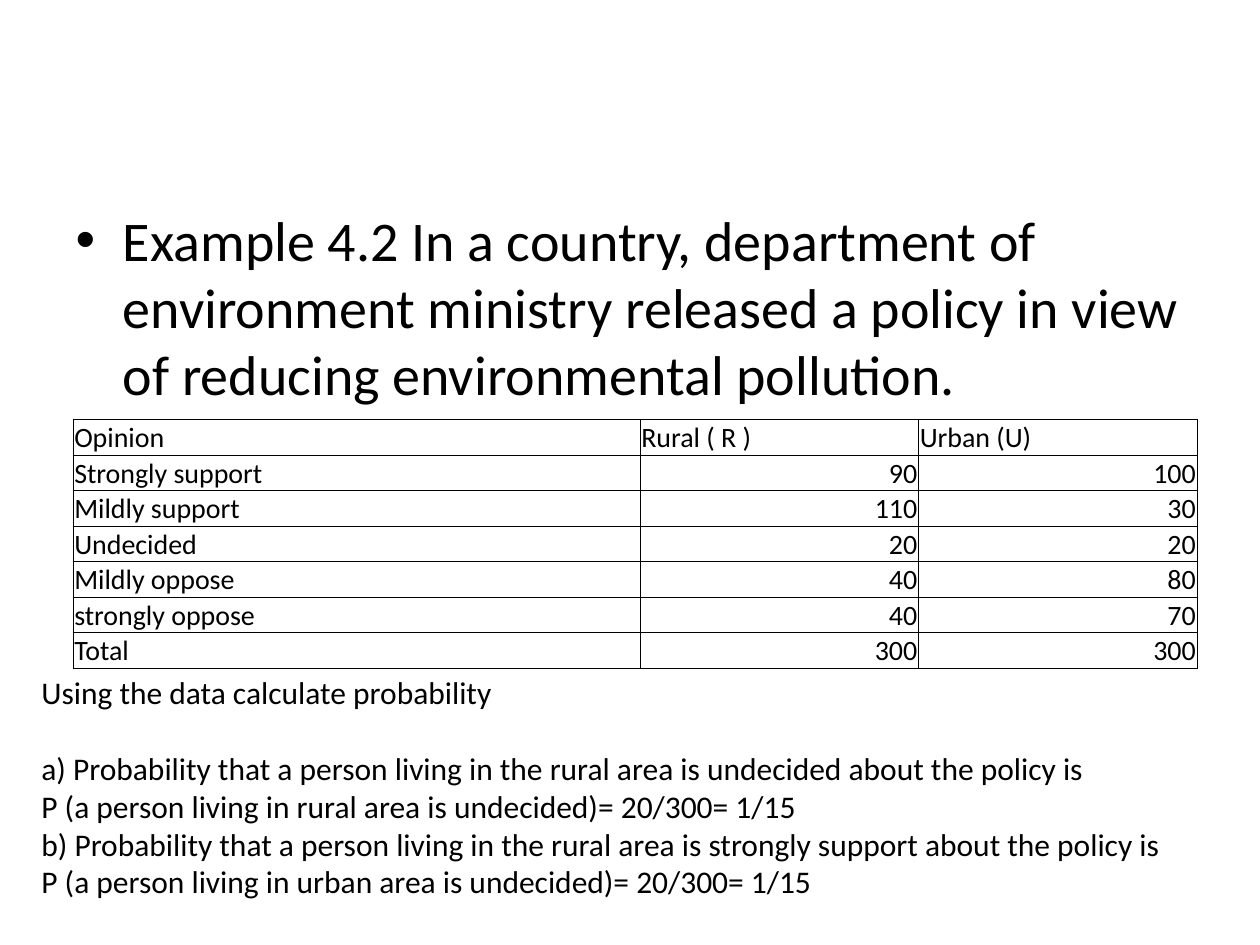
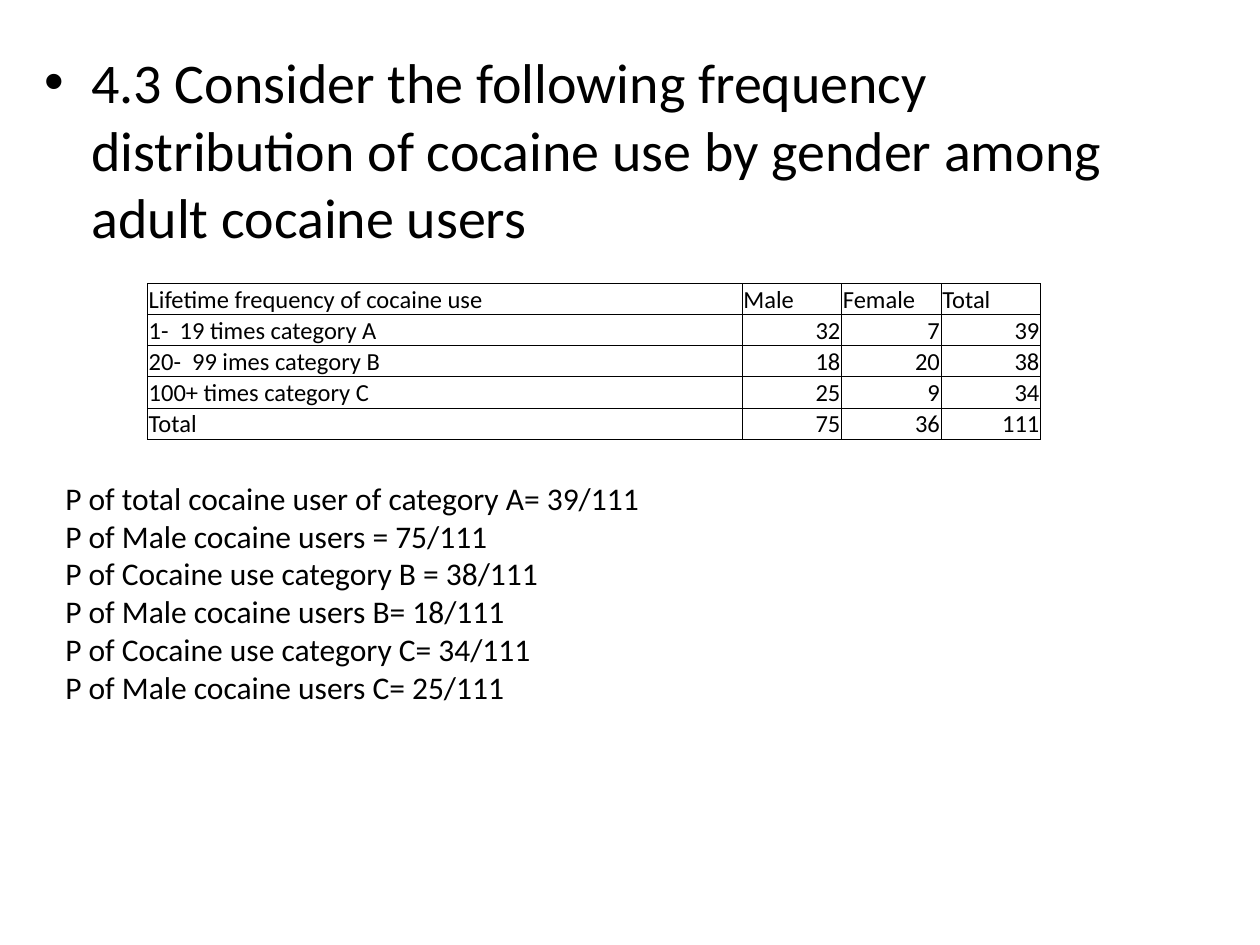
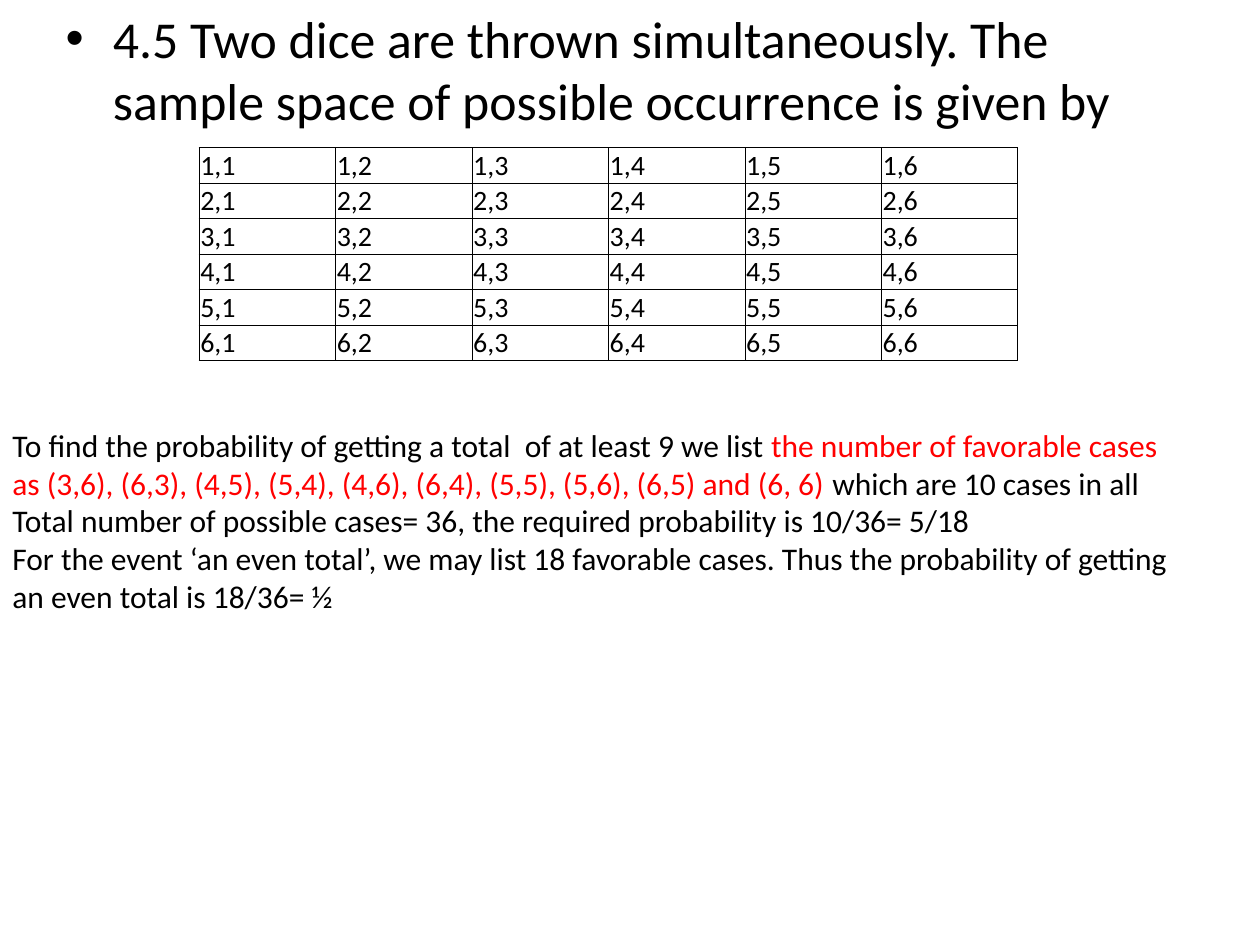
"""Build three slides of worked probability examples with data tables."""
from lxml import etree
from pptx import Presentation
from pptx.dml.color import RGBColor
from pptx.enum import text
from pptx.oxml import ns
from pptx.util import Inches, Pt

FONT = "Calibri"
BLACK = "000000"
RED = "FF0000"
BULLET_LAYOUT = 1


def set_font(font, size, color=BLACK):
    font.name = FONT
    font.size = Pt(size)
    font.color.rgb = RGBColor.from_string(color)


def place(shape, left, top, width, height):
    shape.left, shape.top = Inches(left), Inches(top)
    shape.width, shape.height = Inches(width), Inches(height)


def add_example_slide(presentation, statement, box, size=32):
    slide = presentation.slides.add_slide(presentation.slide_layouts[BULLET_LAYOUT])
    title = slide.shapes.title.element
    title.getparent().remove(title)
    body = slide.placeholders[1]
    place(body, *box)
    body.text_frame.text = statement
    body.text_frame.auto_size = text.MSO_AUTO_SIZE.NONE
    paragraph = body.text_frame.paragraphs[0]
    paragraph.space_before = Pt(0)
    set_font(paragraph.font, size)
    return slide


def add_borders(cell):
    properties = cell._tc.get_or_add_tcPr()
    for side in ("lnL", "lnR", "lnT", "lnB"):
        line = etree.SubElement(properties, ns.qn(f"a:{side}"), w=str(Pt(0.5)))
        fill = etree.SubElement(line, ns.qn("a:solidFill"))
        etree.SubElement(fill, ns.qn("a:srgbClr"), val=BLACK)


def fill_cell(cell, value, size):
    cell.text = value
    cell.vertical_anchor = text.MSO_ANCHOR.BOTTOM
    cell.margin_left = cell.margin_right = cell.margin_top = Inches(0.01)
    cell.margin_bottom = 0
    add_borders(cell)
    cell.fill.background()
    paragraph = cell.text_frame.paragraphs[0]
    if value.isdigit():
        paragraph.alignment = text.PP_ALIGN.RIGHT
    set_font(paragraph.font, size)


def add_data_table(slide, rows, left, top, height, column_widths, size=16):
    frame = slide.shapes.add_table(
        len(rows), len(column_widths), Inches(left), Inches(top),
        Inches(sum(column_widths)), Inches(height))
    table = frame.table
    table.first_row = table.horz_banding = False
    for column, width in zip(table.columns, column_widths):
        column.width = Inches(width)
    for row, values in zip(table.rows, rows):
        for cell, value in zip(row.cells, values):
            fill_cell(cell, value, size)


def add_working(slide, lines, left, top, width, height):
    """Add the solution; each line is a string or a list of (text, color) runs."""
    shape = slide.shapes.add_textbox(
        Inches(left), Inches(top), Inches(width), Inches(height))
    frame = shape.text_frame
    frame.word_wrap = True
    frame.auto_size = text.MSO_AUTO_SIZE.SHAPE_TO_FIT_TEXT
    for index, line in enumerate(lines):
        paragraph = frame.add_paragraph() if index else frame.paragraphs[0]
        set_font(paragraph.font, 18)
        runs = [(line, BLACK)] if isinstance(line, str) else line
        for words, color in runs:
            run = paragraph.add_run()
            run.text = words
            if len(runs) > 1:
                set_font(run.font, 18, color)
    return frame


def add_policy_slide(presentation):
    slide = add_example_slide(
        presentation,
        "Example 4.2 In a country, department of environment ministry released "
        "a policy in view of reducing environmental pollution.",
        (0.5, 1.58, 9, 1.92))
    opinions = [
        ("Opinion", "Rural ( R )", "Urban (U)"),
        ("Strongly support", "90", "100"),
        ("Mildly support", "110", "30"),
        ("Undecided", "20", "20"),
        ("Mildly oppose", "40", "80"),
        ("strongly oppose", "40", "70"),
        ("Total", "300", "300"),
    ]
    add_data_table(slide, opinions, 0.58, 3.33, 1.94, [4.5, 2.21, 2.21])
    working = add_working(slide, [
        "Using the data calculate probability",
        "a) Probability that a person living in the rural area is undecided about the policy is",
        "P (a person living in rural area is undecided)= 20/300= 1/15",
        "b) Probability that a person living in the rural area is strongly support about the policy is",
        "P (a person living in urban area is undecided)= 20/300= 1/15",
    ], 0.23, 5.29, 9.25, 2.22)
    working.paragraphs[0].space_after = Pt(22)


def add_cocaine_slide(presentation):
    slide = add_example_slide(
        presentation,
        "4.3 Consider the following frequency distribution of cocaine use by "
        "gender among adult cocaine users",
        (0.25, 0.33, 9, 1.75))
    frequencies = [
        ("Lifetime frequency of cocaine use", "Male", "Female", "Total"),
        ("1-  19 times category A", "32", "7", "39"),
        ("20-  99 imes category B", "18", "20", "38"),
        ("100+ times category C", "25", "9", "34"),
        ("Total", "75", "36", "111"),
    ]
    add_data_table(slide, frequencies, 1.17, 2.25, 1.22, [4.72] + [0.79] * 3, size=14)
    add_working(slide, [
        "P of total cocaine user of category A= 39/111",
        "P of Male cocaine users = 75/111",
        "P of Cocaine use category B = 38/111",
        "P of Male cocaine users B= 18/111",
        "P of Cocaine use category C= 34/111",
        "P of Male cocaine users C= 25/111",
    ], 0.42, 3.75, 8.83, 2.52)


def add_dice_slide(presentation):
    slide = add_example_slide(
        presentation,
        "4.5 Two dice are thrown simultaneously. The sample space of possible "
        "occurrence is given by",
        (0.42, 0, 9, 1), size=29.6)
    faces = range(1, 7)
    outcomes = [[f"{first},{second}" for second in faces] for first in faces]
    add_data_table(slide, outcomes, 1.58, 1.17, 1.66, [6.5 / 6] * 6)
    add_working(slide, [
        [("To find the probability of getting a total  of at least 9 we list ", BLACK),
         ("the number of favorable cases as (3,6), (6,3), (4,5), (5,4), (4,6), "
          "(6,4), (5,5), (5,6), (6,5) and (6, 6) ", RED),
         ("which are 10 cases in all", BLACK)],
        "Total number of possible cases= 36, the required probability is 10/36= 5/18",
        "For the event ‘an even total’, we may list 18 favorable cases. Thus the "
        "probability of getting an even total is 18/36= ½",
    ], 0, 3.33, 9.5, 2.22)


def main():
    presentation = Presentation()
    presentation.slide_width = Inches(10)
    presentation.slide_height = Inches(7.5)
    add_policy_slide(presentation)
    add_cocaine_slide(presentation)
    add_dice_slide(presentation)
    presentation.save("out.pptx")


if __name__ == "__main__":
    main()
